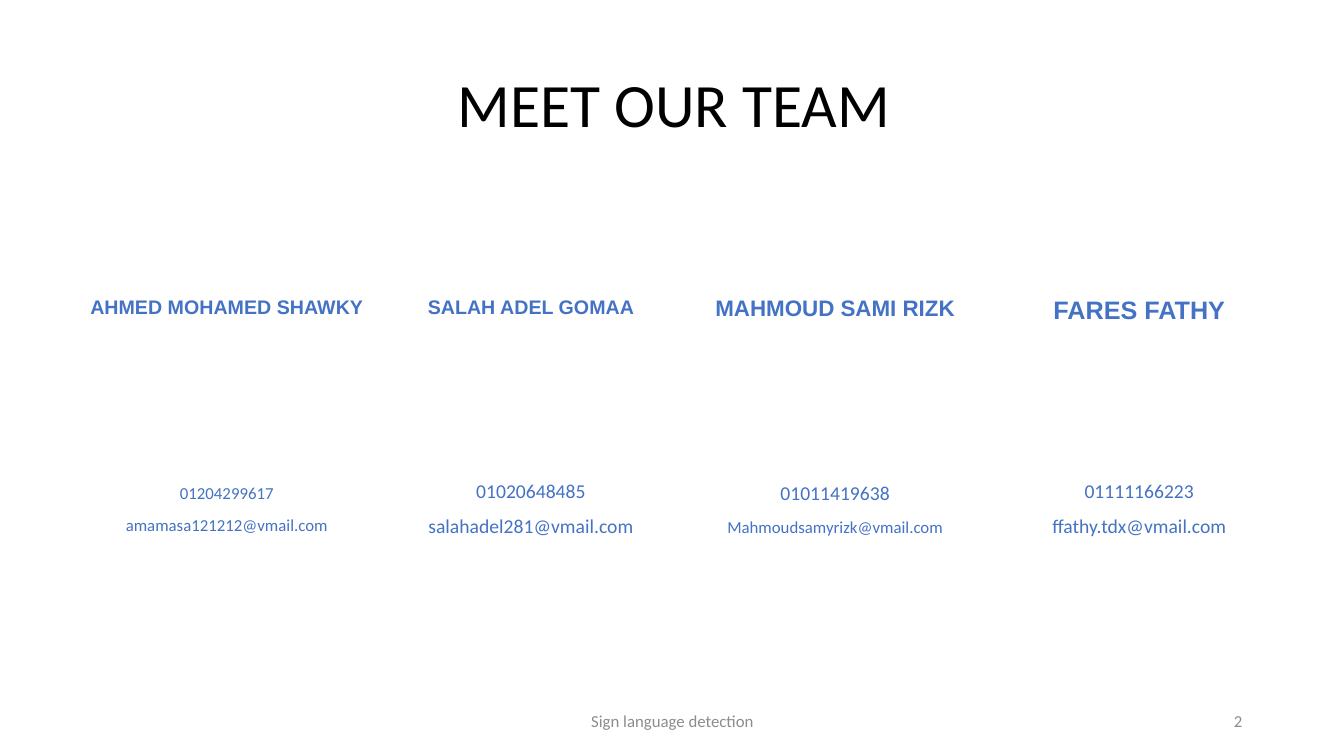
from dataclasses import dataclass

from pptx import Presentation
from pptx.dml.color import RGBColor
from pptx.enum.shapes import MSO_SHAPE
from pptx.enum.text import MSO_ANCHOR, MSO_AUTO_SIZE, PP_ALIGN
from pptx.util import Inches, Pt


@dataclass(frozen=True)
class Theme:
    heading_font: str = "Arial"
    body_font: str = "Calibri"
    black: str = "000000"
    white: str = "FFFFFF"
    accent: str = "4472C4"
    muted: str = "8C8C8C"
    title_size: int = 44
    large_name: int = 18
    medium_name: int = 16
    small_name: int = 14
    large_contact: int = 14
    small_contact: int = 12
    footer_size: int = 12


@dataclass(frozen=True)
class Member:
    name: str
    name_size: int
    phone: str
    phone_size: int
    email: str
    email_size: int


THEME = Theme()
TEAM = [
    Member("AHMED MOHAMED SHAWKY", THEME.small_name,
           "01204299617", THEME.small_contact,
           "amamasa121212@vmail.com", THEME.small_contact),
    Member("SALAH ADEL GOMAA", THEME.small_name,
           "01020648485", THEME.large_contact,
           "salahadel281@vmail.com", THEME.large_contact),
    Member("MAHMOUD SAMI RIZK", THEME.medium_name,
           "01011419638", THEME.large_contact,
           "Mahmoudsamyrizk@vmail.com", THEME.small_contact),
    Member("FARES FATHY", THEME.large_name,
           "01111166223", THEME.large_contact,
           "ffathy.tdx@vmail.com", THEME.large_contact),
]
FIRST_LEFT, LAST_LEFT = 0.83, 9.88
COLUMN_PITCH = (LAST_LEFT - FIRST_LEFT) / (len(TEAM) - 1)
CONTACT_INDENT = 0.17


def write(para, text, *, size, color, font=THEME.body_font, bold=False,
          align=PP_ALIGN.CENTER, line_spacing=1.0, before=0):
    para.alignment = align
    para.line_spacing = line_spacing
    para.space_before = Pt(before)
    span = para.add_run()
    span.text = text
    span.font.name = font
    span.font.size = Pt(size)
    span.font.bold = bold
    span.font.color.rgb = RGBColor.from_string(color)


class TeamPage:
    def __init__(self, deck, theme):
        self.theme = theme
        self.page = deck.slides.add_slide(deck.slide_layouts[5])

    def prepare(self, box, anchor=MSO_ANCHOR.MIDDLE):
        frame = box.text_frame
        frame.word_wrap = True
        frame.auto_size = MSO_AUTO_SIZE.NONE
        frame.vertical_anchor = anchor
        return frame

    def title(self, text):
        box = self.page.shapes.title
        box.left, box.top = Inches(4.44), Inches(0.3)
        box.width, box.height = Inches(4.5), Inches(1.45)
        write(self.prepare(box).paragraphs[0], text, size=self.theme.title_size,
              color=self.theme.black, align=PP_ALIGN.LEFT)

    def text_box(self, left, top, width, height):
        box = self.page.shapes.add_textbox(
            Inches(left), Inches(top), Inches(width), Inches(height))
        return self.prepare(box)

    def footer(self, text, left, width, align):
        frame = self.text_box(left, 6.95, width, 0.4)
        write(frame.paragraphs[0], text, size=self.theme.footer_size,
              color=self.theme.muted, align=align)

    def name_card(self, member, left):
        box = self.page.shapes.add_shape(
            MSO_SHAPE.RECTANGLE, Inches(left), Inches(2.65), Inches(2.84), Inches(1.21))
        box.shadow.inherit = False
        box.fill.solid()
        box.fill.fore_color.rgb = RGBColor.from_string(self.theme.white)
        box.line.fill.background()
        frame = self.prepare(box, MSO_ANCHOR.TOP)
        frame.margin_left = frame.margin_right = 0
        frame.margin_top, frame.margin_bottom = Inches(0.3), Inches(0.05)
        write(frame.paragraphs[0], member.name, size=member.name_size,
              color=self.theme.accent, font=self.theme.heading_font,
              bold=True, line_spacing=0.9)

    def contact(self, member, left):
        frame = self.text_box(left, 4.73, 2.5, 0.66)
        write(frame.paragraphs[0], member.phone, size=member.phone_size,
              color=self.theme.accent, line_spacing=0.9)
        write(frame.add_paragraph(), member.email, size=member.email_size,
              color=self.theme.accent, line_spacing=0.9, before=10)


def main():
    deck = Presentation()
    deck.slide_width, deck.slide_height = Inches(13.33), Inches(7.5)
    team_page = TeamPage(deck, THEME)
    team_page.title("MEET OUR TEAM")
    team_page.footer("Sign language detection", 4.42, 4.5, PP_ALIGN.CENTER)
    team_page.footer("2", 9.42, 3, PP_ALIGN.RIGHT)
    for column, member in enumerate(TEAM):
        left = FIRST_LEFT + column * COLUMN_PITCH
        team_page.name_card(member, left)
        team_page.contact(member, left + CONTACT_INDENT)
    deck.save("out.pptx")


if __name__ == "__main__":
    main()
